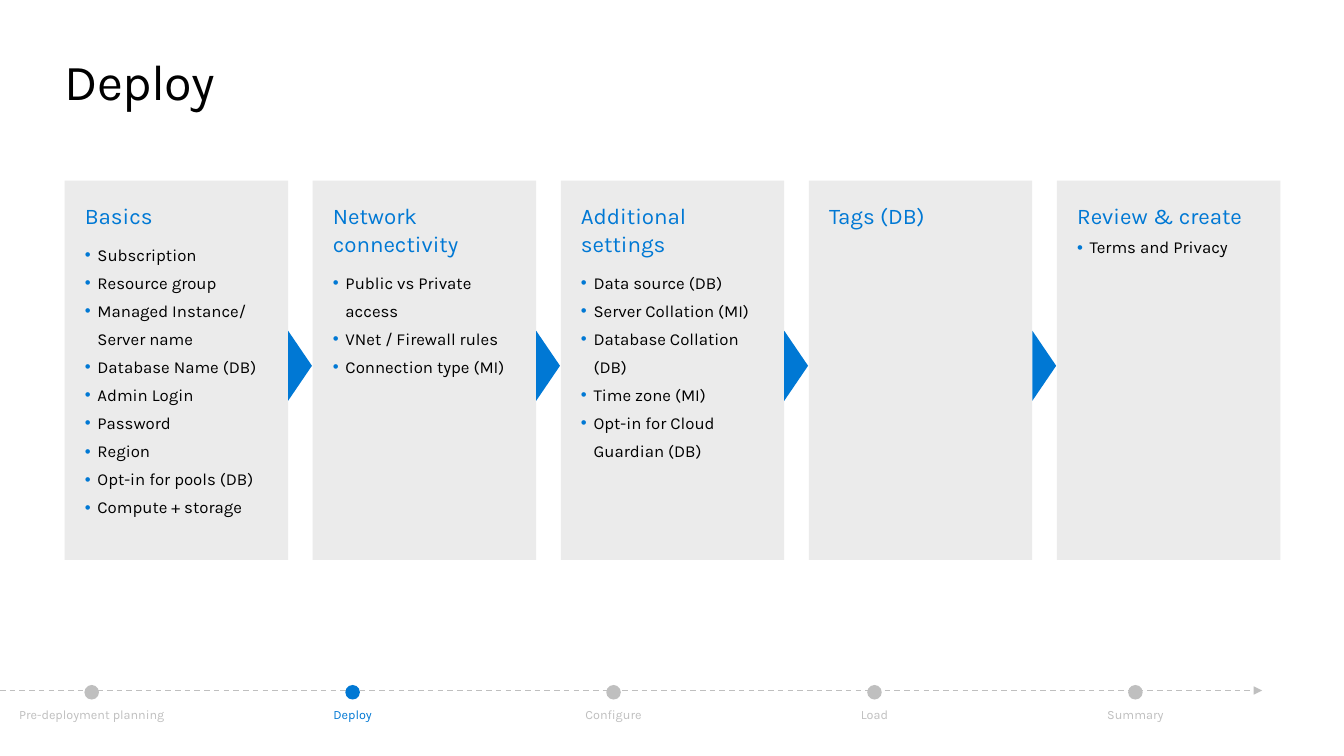
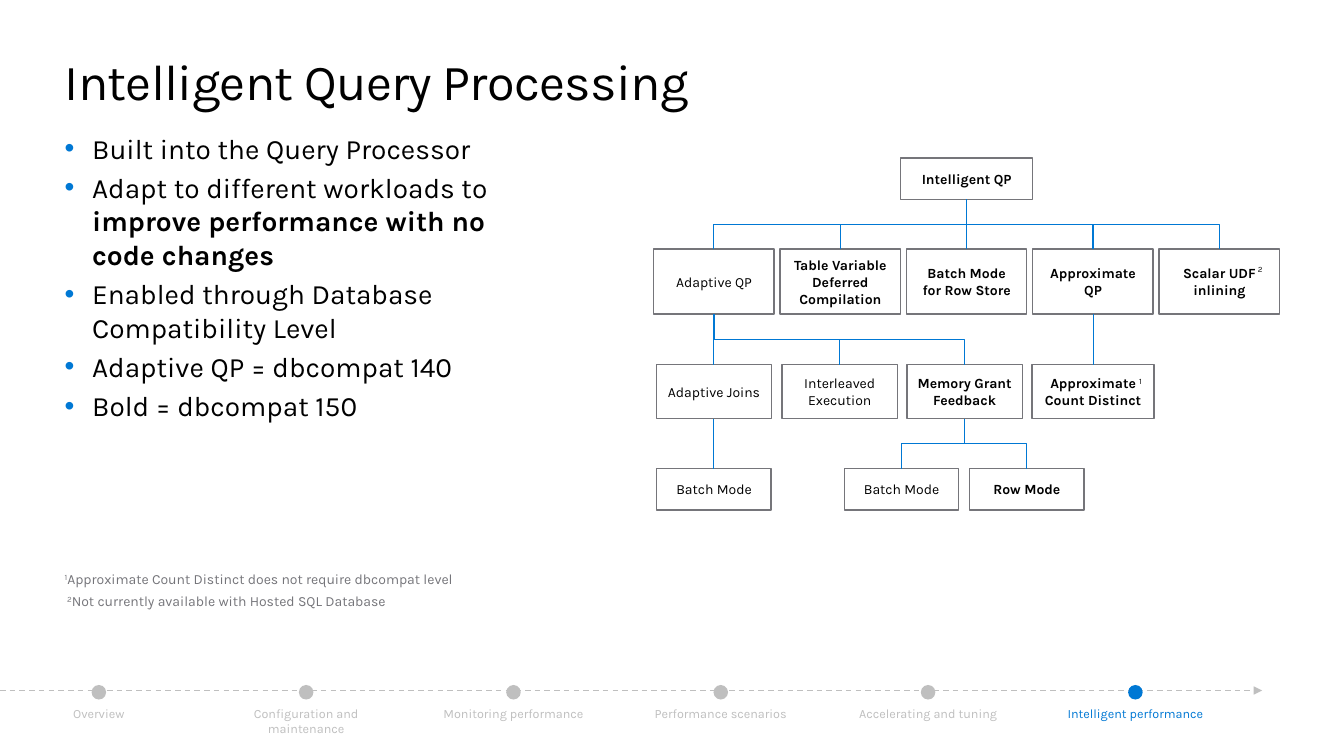
from dataclasses import dataclass

from lxml import etree
from pptx import Presentation
from pptx.dml.color import RGBColor
from pptx.enum.dml import MSO_LINE
from pptx.enum.shapes import MSO_CONNECTOR, MSO_SHAPE
from pptx.enum.text import MSO_ANCHOR, PP_ALIGN
from pptx.oxml.ns import qn
from pptx.util import Pt

RECT, OVAL, TRIANGLE = MSO_SHAPE.RECTANGLE, MSO_SHAPE.OVAL, MSO_SHAPE.ISOSCELES_TRIANGLE
STRAIGHT, ELBOW = MSO_CONNECTOR.STRAIGHT, MSO_CONNECTOR.ELBOW
LEFT, CENTER = PP_ALIGN.LEFT, PP_ALIGN.CENTER
TOP, MIDDLE = MSO_ANCHOR.TOP, MSO_ANCHOR.MIDDLE
DASH = MSO_LINE.DASH
BOTTOM_SITE, TOP_SITE = 2, 0

FONT = "Karla"
BLUE, BLACK, WHITE = "0078D4", "000000", "FFFFFF"
PANEL, SILVER, GRAY = "EBEBEB", "BFBFBF", "75757A"
MARGIN = 46.2
TIMELINE_Y, TIMELINE_END, LAST_STOP = 493.2, 901.5, 811


@dataclass
class Column:
    heading: str
    items: tuple = ()
    leading: float | None = 20


@dataclass
class Node:
    text: str
    cx: float
    y: float
    w: float
    h: float
    bold: bool = True
    parent: str = ""


COLUMNS = [
    Column("Basics", ("Subscription", "Resource group", "Managed Instance/ Server name",
                      "Database Name (DB)", "Admin Login", "Password", "Region",
                      "Opt-in for pools (DB)", "Compute + storage")),
    Column("Network connectivity", ("Public vs Private access", "VNet / Firewall rules",
                                    "Connection type (MI)")),
    Column("Additional settings", ("Data source (DB)", "Server Collation (MI)",
                                   "Database Collation (DB)", "Time zone (MI)",
                                   "Opt-in for Cloud Guardian (DB)")),
    Column("Tags (DB)"),
    Column("Review & create", ("Terms and Privacy",), leading=None),
]

FEATURE_X = [510 + 90.25 * i for i in range(5)]
FEATURE = (178, 86, 46.4)
DETAIL = (260.6, 82.4, 38.6)
MODE = (334.8, 81.8, 29.5)
NODES = {
    "root": Node("Intelligent QP", FEATURE_X[2], 113, 94.4, 29.5),
    "adaptive": Node("Adaptive QP", FEATURE_X[0], *FEATURE, bold=False, parent="root"),
    "deferred": Node("Table Variable\nDeferred Compilation", FEATURE_X[1], *FEATURE, parent="root"),
    "batch": Node("Batch Mode\nfor Row Store", FEATURE_X[2], *FEATURE, parent="root"),
    "approximate": Node("Approximate\nQP", FEATURE_X[3], *FEATURE, parent="root"),
    "scalar": Node("Scalar UDF inlining", FEATURE_X[4], *FEATURE, parent="root"),
    "joins": Node("Adaptive Joins", FEATURE_X[0], *DETAIL, bold=False, parent="adaptive"),
    "interleaved": Node("Interleaved Execution", 599.8, *DETAIL, bold=False, parent="adaptive"),
    "memory": Node("Memory Grant Feedback", 689, *DETAIL, parent="adaptive"),
    "distinct": Node("Approximate Count Distinct", FEATURE_X[3], 260.6, 87, 38.6,
                     parent="approximate"),
    "joins_batch": Node("Batch Mode", FEATURE_X[0], *MODE, bold=False, parent="joins"),
    "memory_batch": Node("Batch Mode", 644, *MODE, bold=False, parent="memory"),
    "memory_row": Node("Row Mode", 733.5, *MODE, parent="memory"),
}


def rgb(color: str) -> RGBColor:
    return RGBColor.from_string(color)


def write(p, text: str, *, size: float, color: str = BLACK, bold: bool = False,
          superscript: bool = False, tracking: float = 0) -> None:
    """Append text to a paragraph; a newline becomes a line break."""
    for i, line in enumerate(text.split("\n")):
        if i:
            p.add_line_break()
        r = p.add_run()
        r.text = line
        r.font.name, r.font.size, r.font.bold = FONT, Pt(size), bold
        r.font.color.rgb = rgb(color)
        props = r._r.get_or_add_rPr()
        if superscript:
            props.set("baseline", "30000")
        if tracking:
            props.set("spc", str(round(tracking * 100)))


def set_frame(tf, *, insets=(0, 0, 0, 0), anchor=TOP, wrap: bool = True) -> None:
    """Set wrapping, anchor and insets (left, top, right, bottom)."""
    tf.word_wrap, tf.vertical_anchor = wrap, anchor
    tf.margin_left, tf.margin_top, tf.margin_right, tf.margin_bottom = map(Pt, insets)


def add_box(shapes, x: float, y: float, w: float, h: float):
    tf = shapes.add_textbox(Pt(x), Pt(y), Pt(w), Pt(h)).text_frame
    set_frame(tf)
    return tf


def add_bullet(p, indent: float) -> None:
    ppr = p._p.get_or_add_pPr()
    ppr.set("marL", str(Pt(indent)))
    ppr.set("indent", str(-Pt(indent)))
    color = etree.SubElement(ppr, qn("a:buClr"))
    etree.SubElement(color, qn("a:srgbClr"), val=BLUE)
    etree.SubElement(ppr, qn("a:buFont"), typeface="Arial")
    etree.SubElement(ppr, qn("a:buChar"), char="•")


def add_shape(shapes, kind, x: float, y: float, w: float, h: float, fill: str, line: str = ""):
    shape = shapes.add_shape(kind, Pt(x), Pt(y), Pt(w), Pt(h))
    shape.shadow.inherit = False
    shape.fill.solid()
    shape.fill.fore_color.rgb = rgb(fill)
    if line:
        shape.line.color.rgb, shape.line.width = rgb(line), Pt(1)
    else:
        shape.line.fill.background()
    return shape


def add_line(shapes, kind, start: tuple, end: tuple, color: str, width: float):
    line = shapes.add_connector(kind, *map(Pt, (*start, *end)))
    line.line.color.rgb, line.line.width = rgb(color), Pt(width)
    etree.SubElement(line._element.spPr, qn("a:effectLst"))
    return line


def add_titled_slide(prs, title: str):
    s = prs.slides.add_slide(prs.slide_layouts[5])
    shape = s.shapes.title
    shape.left, shape.top, shape.width, shape.height = map(Pt, (MARGIN, 36, 868, 44))
    set_frame(shape.text_frame)
    p = shape.text_frame.paragraphs[0]
    p.alignment = LEFT
    write(p, title, size=36, tracking=-0.5)
    return s


def add_timeline(s, stops: list[str], current: str, first_x: float, label_y: float) -> None:
    """Draw the footer of stops, with the current one in blue."""
    shapes = s.shapes.add_group_shape().shapes
    axis = add_line(shapes, STRAIGHT, (0, TIMELINE_Y), (TIMELINE_END, TIMELINE_Y), SILVER, 1)
    axis.line.dash_style = DASH
    etree.SubElement(axis.line._get_or_add_ln(), qn("a:tailEnd"), type="triangle")
    step, dot, label_w = (LAST_STOP - first_x) / (len(stops) - 1), 10.4, 130
    for i, stop in enumerate(stops):
        cx = first_x + i * step
        color = BLUE if stop == current else SILVER
        add_shape(shapes, OVAL, cx - dot / 2, 489.3, dot, dot, color)
        p = add_box(shapes, cx - label_w / 2, label_y, label_w, 11).paragraphs[0]
        p.alignment = CENTER
        write(p, stop, size=9, color=color)


def add_column(s, column: Column, x: float, y: float, w: float, h: float) -> None:
    tf = add_shape(s.shapes, RECT, x, y, w, h, PANEL).text_frame
    set_frame(tf, insets=(14.4, 14.4, 7.2, 7.2))
    p = tf.paragraphs[0]
    p.alignment, p.line_spacing, p.space_after = LEFT, Pt(20), Pt(6)
    write(p, column.heading, size=16, color=BLUE)
    for item in column.items:
        p = tf.add_paragraph()
        p.alignment = LEFT
        add_bullet(p, 9)
        if column.leading:
            p.line_spacing = Pt(column.leading)
        write(p, item, size=12)


def add_node(s, node: Node):
    box = add_shape(s.shapes, RECT, node.cx - node.w / 2, node.y, node.w, node.h, WHITE, GRAY)
    set_frame(box.text_frame, insets=(0.72,) * 4, anchor=MIDDLE)
    p = box.text_frame.paragraphs[0]
    p.alignment = CENTER
    write(p, node.text, size=10, bold=node.bold)
    return box


def join(s, parent: Node, child: Node, parent_box, child_box) -> None:
    """Connect a parent's bottom to a child's top, bending halfway down."""
    x1, y1, x2, y2 = parent.cx, parent.y + parent.h, child.cx, child.y
    straight = x1 == x2
    line = add_line(s.shapes, STRAIGHT if straight else ELBOW, (x1, y1), (x2, y2), BLUE, 0.75)
    line.begin_connect(parent_box, BOTTOM_SITE)
    line.end_connect(child_box, TOP_SITE)
    if straight:
        return
    # An elbow leaves sideways, so it is turned to leave downwards.
    drop, run = y2 - y1, abs(x2 - x1)
    line.left, line.top = Pt((x1 + x2 - drop) / 2), Pt((y1 + y2 - run) / 2)
    line.width, line.height = Pt(drop), Pt(run)
    xfrm = line._element.spPr.find(qn("a:xfrm"))
    xfrm.set("rot", str((270 if x2 > x1 else 90) * 60000))
    xfrm.set("flipH", "1" if x2 > x1 else "0")
    xfrm.set("flipV", "0")


def build_deploy(prs) -> None:
    s = add_titled_slide(prs, "Deploy")
    y, w, h, step = 129, 159.6, 271, 177.2
    arrow_w, arrow_h = 50, 17
    for i, column in enumerate(COLUMNS):
        x = MARGIN + i * step
        add_column(s, column, x, y, w, h)
        if i < len(COLUMNS) - 1:
            cx, cy = x + w + arrow_h / 2, 261.3
            arrow = add_shape(s.shapes, TRIANGLE, cx - arrow_w / 2, cy - arrow_h / 2,
                              arrow_w, arrow_h, BLUE)
            arrow.rotation = 90
    add_timeline(s, ["Pre-deployment planning", "Deploy", "Configure", "Load", "Summary"],
                 "Deploy", 65.5, 504.7)


def build_query_processing(prs) -> None:
    s = add_titled_slide(prs, "Intelligent Query Processing")
    tf = add_box(s.shapes, MARGIN, 93.6, 347, 213)
    points = [
        ("Built into the Query Processor", ""),
        ("Adapt to different workloads to ", "improve performance with no code changes"),
        ("Enabled through Database Compatibility Level", ""),
        ("Adaptive QP = dbcompat 140", ""),
        ("Bold = dbcompat 150", ""),
    ]
    for i, (plain, strong) in enumerate(points):
        p = tf.add_paragraph() if i else tf.paragraphs[0]
        add_bullet(p, 19.6)
        if i:
            p.space_before = Pt(4)
        write(p, plain, size=20)
        if strong:
            write(p, strong, size=20, bold=True)

    boxes = {key: add_node(s, node) for key, node in NODES.items()}
    for key, node in NODES.items():
        if node.parent:
            join(s, NODES[node.parent], node, boxes[node.parent], boxes[key])

    for mark, x, y in (("2", 898.5, 188), ("1", 813.6, 267.8)):
        write(add_box(s.shapes, x, y, 10, 8).paragraphs[0], mark, size=10, superscript=True)
    footnotes = (
        ("1", "Approximate Count Distinct does not require dbcompat level", MARGIN, 407.5),
        ("2", "Not currently available with Hosted SQL Database", 48, 423.4),
    )
    for mark, note, x, y in footnotes:
        p = add_box(s.shapes, x, y, 410, 12).paragraphs[0]
        write(p, mark, size=10, color=GRAY, superscript=True)
        write(p, note, size=10, color=GRAY)
    add_timeline(s, ["Overview", "Configuration and maintenance", "Monitoring performance",
                     "Performance scenarios", "Accelerating and tuning",
                     "Intelligent performance"], "Intelligent performance", 70.6, 504.4)


def main() -> None:
    prs = Presentation()
    prs.slide_width, prs.slide_height = Pt(960), Pt(540)
    build_deploy(prs)
    build_query_processing(prs)
    prs.save("out.pptx")


if __name__ == "__main__":
    main()
